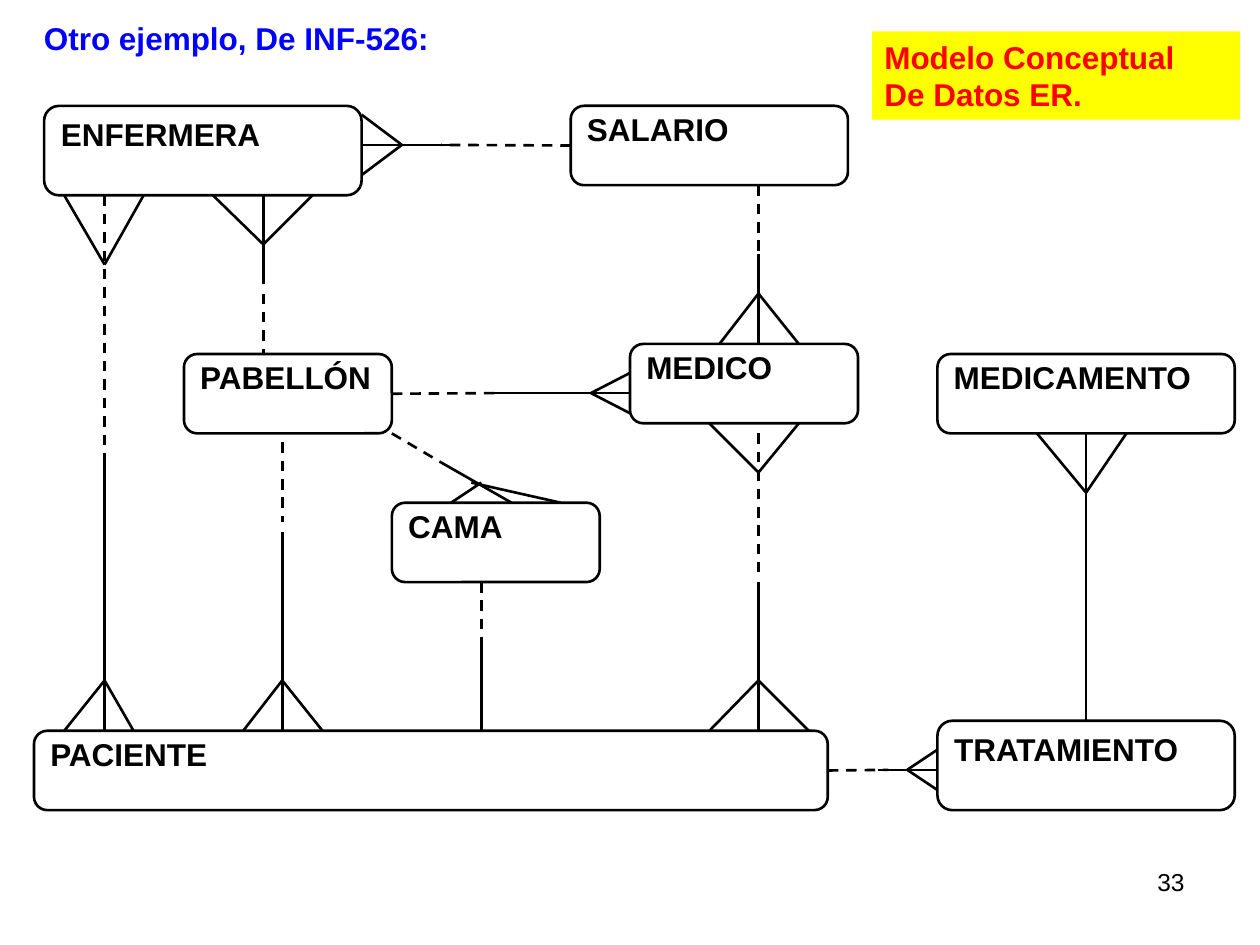
from pptx import Presentation
from pptx.dml.color import RGBColor
from pptx.enum.dml import MSO_LINE_DASH_STYLE as Dash
from pptx.enum.shapes import MSO_CONNECTOR as Connector, MSO_SHAPE as Shape
from pptx.enum.text import MSO_ANCHOR as Anchor, PP_ALIGN as Align
from pptx.oxml.ns import qn
from pptx.util import Inches, Pt
from lxml.etree import SubElement

BLACK = RGBColor(0, 0, 0)
RED = RGBColor(255, 0, 0)
BLUE = RGBColor(0, 0, 255)
YELLOW = RGBColor(255, 255, 0)
LINE_WIDTH = Pt(1.5)
TEXT_BLOCK = 0.57  # height of two text lines
CORNER = 0.167
SNAP = 0.02  # line ends this close to a side's middle are joined to it

# Columns that carry the vertical relations, and rows where boxes begin or end
NURSE_X, WARD_X, WARD_PATIENT_X = 0.83, 2.09, 2.24
BED_X, DOCTOR_X, DRUG_X = 3.82, 6.02, 8.62
NURSE_BOTTOM, WARD_TOP, WARD_BOTTOM = 1.55, 2.81, 3.44
DOCTOR_TOP, DOCTOR_BOTTOM = 2.73, 3.36
BED_TOP, BED_BOTTOM, PATIENT_TOP, TREATMENT_TOP = 3.99, 4.62, 5.8, 5.72
SALARY_Y, DOCTOR_Y, TREATMENT_Y = 1.15, 3.12, 6.11
PATIENT_APEX = 5.4

# Entities: name, left, top, width, height
ENTITIES = [
    ("PACIENTE", 0.27, PATIENT_TOP, 6.3, 0.63),
    ("TRATAMIENTO", 7.44, TREATMENT_TOP, 2.36, 0.71),
    ("SALARIO", 4.53, 0.84, 2.2, 0.63),
    ("PABELLÓN", 1.46, WARD_TOP, 1.65, 0.63),
    ("ENFERMERA", 0.35, 0.84, 2.52, 0.71),
    ("MEDICO", 5, DOCTOR_TOP, 1.81, 0.63),
    ("MEDICAMENTO", 7.44, WARD_TOP, 2.36, 0.63),
    ("CAMA", 3.11, BED_TOP, 1.65, 0.63),
]

# Optional ends of the relations (dashed): from, to
OPTIONAL = [
    ((DOCTOR_X, WARD_BOTTOM), (DOCTOR_X, 4.54)),
    ((3.11, DOCTOR_Y), (3.98, DOCTOR_Y)),
    ((WARD_PATIENT_X, 3.51), (WARD_PATIENT_X, 4.14)),
    ((WARD_X, 2.33), (WARD_X, WARD_TOP)),
    ((4.53, SALARY_Y), (3.5, SALARY_Y)),
    ((DOCTOR_X, 1.47), (DOCTOR_X, 2.1)),
    ((6.57, TREATMENT_Y), (7.05, TREATMENT_Y)),
    ((NURSE_X, NURSE_BOTTOM), (NURSE_X, 3.67)),
    ((BED_X, BED_BOTTOM), (BED_X, 5.09)),
    ((3.11, WARD_BOTTOM), (3.5, 3.67)),
]

# Mandatory ends of the relations (solid): from, to
MANDATORY = [
    ((DOCTOR_X, 4.62), (DOCTOR_X, PATIENT_TOP)),
    ((3.9, DOCTOR_Y), (5, DOCTOR_Y)),
    ((WARD_PATIENT_X, PATIENT_TOP), (WARD_PATIENT_X, 4.22)),
    ((WARD_X, NURSE_BOTTOM), (WARD_X, 2.25)),
    ((2.88, SALARY_Y), (3.58, SALARY_Y)),
    ((DOCTOR_X, 2.02), (DOCTOR_X, DOCTOR_TOP)),
    ((6.97, TREATMENT_Y), (7.44, TREATMENT_Y)),
    ((DRUG_X, WARD_BOTTOM), (DRUG_X, TREATMENT_TOP)),
    ((NURSE_X, 3.67), (NURSE_X, PATIENT_TOP)),
    ((BED_X, 5.09), (BED_X, PATIENT_TOP)),
    ((3.5, 3.67), (4.06, BED_TOP)),
]

# Crow's feet on a level side: apex x, apex y, side y, the x of both toes
LEVEL_FEET = [
    (DOCTOR_X, PATIENT_APEX, PATIENT_TOP, (5.63, 6.42)),
    (WARD_PATIENT_X, PATIENT_APEX, PATIENT_TOP, (1.93, 2.56)),
    (NURSE_X, PATIENT_APEX, PATIENT_TOP, (0.51, 1.06)),
    (WARD_X, 1.94, NURSE_BOTTOM, (1.69, 2.48)),
    (NURSE_X, 2.1, NURSE_BOTTOM, (0.51, 1.14)),
    (DOCTOR_X, 2.33, DOCTOR_TOP, (5.71, 6.34)),
    (DOCTOR_X, 3.75, DOCTOR_BOTTOM, (5.63, 6.34)),
    (DRUG_X, 3.91, WARD_BOTTOM, (8.23, 8.94)),
]
# Crow's feet on an upright side: apex x, apex y, side x, toe spread
UPRIGHT_FEET = [
    (4.69, DOCTOR_Y, 5, 0.16),
    (3.19, SALARY_Y, 2.87, 0.24),
    (7.2, TREATMENT_Y, 7.44, 0.16),
]
# The slanted foot on CAMA
BED_FOOT = [((3.74, 3.83), (4.45, BED_TOP)), ((BED_X, 3.83), (3.58, BED_TOP))]

prs = Presentation()
prs.slide_width, prs.slide_height = Inches(10), Inches(7.5)
slide = prs.slides.add_slide(prs.slide_layouts[6])
side_middles = []


def write(frame, lines, color, size=18, bold=True, align=Align.LEFT):
    frame.word_wrap = True
    frame.vertical_anchor = Anchor.TOP
    paragraph = frame.paragraphs[0]
    paragraph.alignment = align
    for i, line in enumerate(lines):
        if i:
            paragraph.add_line_break()
        run = paragraph.add_run()
        run.text = line
        run.font.name, run.font.size, run.font.bold = "Arial", Pt(size), bold
        run.font.color.rgb = color


def add_entity(name, left, top, width, height):
    entity = slide.shapes.add_shape(
        Shape.ROUNDED_RECTANGLE, *map(Inches, (left, top, width, height)))
    entity.adjustments[0] = CORNER
    entity.shadow.inherit = False
    entity.fill.background()
    entity.line.color.rgb, entity.line.width = BLACK, LINE_WIDTH
    frame = entity.text_frame
    # The corner already insets the text by 0.29 of its radius
    inset = (height - TEXT_BLOCK) / 2 - 0.29 * CORNER * height
    frame.margin_top = Inches(max(0, round(inset, 2)))
    frame.margin_right = frame.margin_bottom = 0
    write(frame, [name], BLACK)
    center, middle = left + width / 2, top + height / 2
    sides = [(center, top), (left, middle), (center, top + height), (left + width, middle)]
    side_middles.extend((entity, site, x, y) for site, (x, y) in enumerate(sides))


def add_line(start, end, dashed=False):
    line = slide.shapes.add_connector(Connector.STRAIGHT, *map(Inches, (*start, *end)))
    line.line.color.rgb, line.line.width = BLACK, LINE_WIDTH
    if dashed:
        line.line.dash_style = Dash.DASH
    SubElement(line._element.spPr, qn("a:effectLst"))
    for (x, y), join in ((start, line.begin_connect), (end, line.end_connect)):
        for entity, site, side_x, side_y in side_middles:
            if abs(x - side_x) < SNAP and abs(y - side_y) < SNAP:
                join(entity, site)


# Entities and relations
for entity_row in ENTITIES:
    add_entity(*entity_row)
for start, end in OPTIONAL:
    add_line(start, end, dashed=True)
for start, end in MANDATORY + BED_FOOT:
    add_line(start, end)
for x, y, side, toes in LEVEL_FEET:
    for toe in toes:
        add_line((x, y), (toe, side))
for x, y, side, spread in UPRIGHT_FEET:
    for toe in (y - spread, y + spread):
        add_line((x, y), (side, toe))

# Yellow label
label = slide.shapes.add_shape(Shape.RECTANGLE, *map(Inches, (6.92, 0.25, 2.92, 0.7)))
label.shadow.inherit = False
label.fill.solid()
label.fill.fore_color.rgb = YELLOW
label.line.fill.background()
write(label.text_frame, ["Modelo Conceptual", "De Datos ER."], RED)

# Heading and page number
heading = slide.shapes.add_textbox(*map(Inches, (0.25, 0.1, 6.5, 0.4)))
write(heading.text_frame, ["Otro ejemplo, De INF-526:"], BLUE)
page_number = slide.shapes.add_textbox(*map(Inches, (7.17, 6.83, 2.33, 0.52)))
write(page_number.text_frame, ["33"], BLACK, 14, False, Align.RIGHT)

prs.save("out.pptx")
